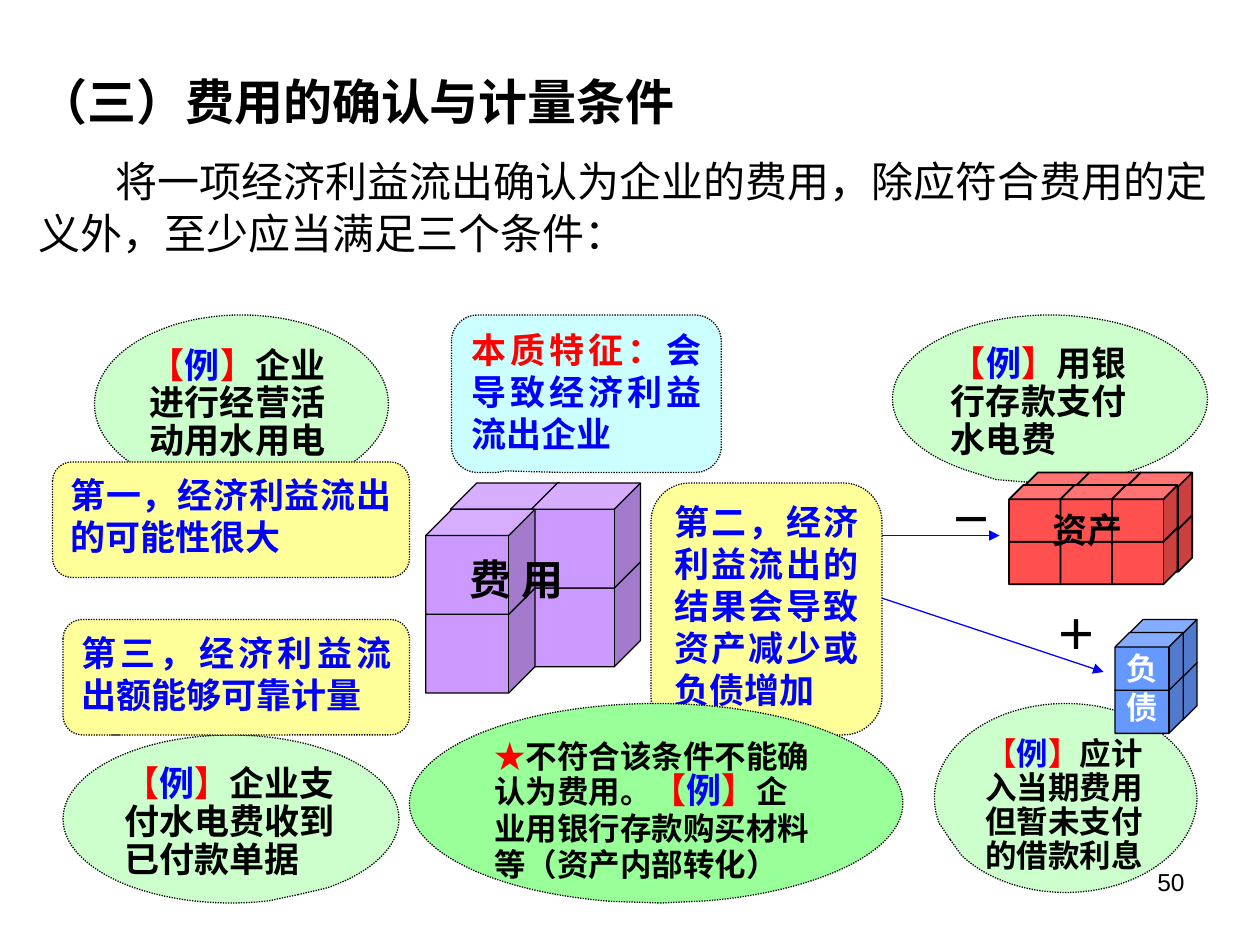
from dataclasses import dataclass
from itertools import product
from typing import Optional

from lxml.etree import SubElement
from pptx import Presentation
from pptx.dml.color import RGBColor
from pptx.enum.dml import MSO_LINE
from pptx.enum.shapes import MSO_CONNECTOR, MSO_SHAPE
from pptx.enum.text import PP_ALIGN
from pptx.oxml.ns import qn
from pptx.util import Inches, Pt

COLS, ROWS = 120, 90
WIDE, HIGH = Inches(10), Inches(7.5)
BLACK, WHITE, RED, BLUE = "000000", "FFFFFF", "FF0000", "0000FF"
MINT, LEMON, SKY, LIME = "CCFFCC", "FFFF99", "CCFFFF", "99FF99"
PLUM, ROSE, AZURE = "CC99FF", "FF5050", "6699FF"
NOTO, ARIAL, TIMES = "Noto Sans CJK SC", "Arial", "Times New Roman"
OVAL = MSO_SHAPE.OVAL_CALLOUT
ROUND = MSO_SHAPE.ROUNDED_RECTANGULAR_CALLOUT
RECT = MSO_SHAPE.RECTANGULAR_CALLOUT
LEFT, MID, RIGHT, JUST = PP_ALIGN.LEFT, PP_ALIGN.CENTER, PP_ALIGN.RIGHT, PP_ALIGN.JUSTIFY


@dataclass
class Run:
    """A stretch of text in one style."""
    text: str
    size: float = 20
    color: str = BLACK
    font: str = ARIAL
    bold: bool = True


@dataclass
class Para:
    """A paragraph with its line pitch, gap and indent in points."""
    runs: list[Run]
    align: PP_ALIGN = LEFT
    lead: Optional[float] = None
    gap: float = 0
    indent: float = 0


@dataclass
class Box:
    """A text box or callout placed in grid units."""
    x: float
    y: float
    w: float
    h: float
    paras: list[Para]
    kind: Optional[MSO_SHAPE] = None
    fill: Optional[str] = None
    tip: tuple[float, float] = (0, 0)


@dataclass
class Stack:
    """One layer of cubes: first cube, cube size, step and count."""
    x: float
    y: float
    w: float
    h: float
    dx: float
    dy: float
    cols: int
    rows: int
    fill: str
    line: float = 0.75


@dataclass
class Arrow:
    """A straight arrow between two grid points."""
    x: float
    y: float
    to_x: float
    to_y: float


def rgb(code: str) -> RGBColor:
    """Turn a hex string into a colour."""
    return RGBColor.from_string(code)


def place(x: float, y: float, w: float, h: float) -> tuple[int, ...]:
    """Turn grid units into slide lengths."""
    return (round(x * WIDE / COLS), round(y * HIGH / ROWS),
            round(w * WIDE / COLS), round(h * HIGH / ROWS))


def write(frame, paras: list[Para]) -> None:
    """Write paragraphs into a text frame, run by run."""
    frame.word_wrap = True
    for i, para in enumerate(paras):
        p = frame.add_paragraph() if i else frame.paragraphs[0]
        p.alignment = para.align
        if para.lead:
            p.line_spacing = Pt(para.lead)
        if para.gap:
            p.space_before = Pt(para.gap)
        if para.indent:
            p._p.get_or_add_pPr().set("indent", str(Pt(para.indent)))
        for run in para.runs:
            r = p.add_run()
            r.text = run.text
            r.font.size = Pt(run.size)
            r.font.bold = run.bold
            r.font.color.rgb = rgb(run.color)
            r.font.name = run.font
            SubElement(r._r.get_or_add_rPr(), qn("a:ea"), typeface=NOTO)


def draw_box(shapes, box: Box) -> None:
    """Draw a text box or a callout."""
    spot = place(box.x, box.y, box.w, box.h)
    if box.kind is None:
        write(shapes.add_textbox(*spot).text_frame, box.paras)
        return
    shape = shapes.add_shape(box.kind, *spot)
    shape.shadow.inherit = False
    shape.adjustments[0], shape.adjustments[1] = box.tip
    if box.fill:
        shape.fill.solid()
        shape.fill.fore_color.rgb = rgb(box.fill)
        shape.line.color.rgb = rgb(BLACK)
        shape.line.width = Pt(0.75)
        shape.line.dash_style = MSO_LINE.ROUND_DOT
    else:
        shape.fill.background()
        shape.line.fill.background()
    write(shape.text_frame, box.paras)
    shape.text_frame._txBody.bodyPr.set("anchor", "t")


def draw_stack(shapes, stack: Stack) -> None:
    """Draw a layer of cubes from the bottom row up."""
    for row, col in product(reversed(range(stack.rows)), range(stack.cols)):
        cube = shapes.add_shape(MSO_SHAPE.CUBE, *place(
            stack.x + col * stack.dx, stack.y + row * stack.dy, stack.w, stack.h))
        cube.shadow.inherit = False
        cube.fill.solid()
        cube.fill.fore_color.rgb = rgb(stack.fill)
        cube.line.color.rgb = rgb(BLACK)
        cube.line.width = Pt(stack.line)


def draw_arrow(shapes, arrow: Arrow) -> None:
    """Draw a blue arrow."""
    line = shapes.add_connector(MSO_CONNECTOR.STRAIGHT, *place(
        arrow.x, arrow.y, arrow.to_x, arrow.to_y))
    line.line.color.rgb = rgb(BLUE)
    line.line.width = Pt(0.75)
    SubElement(line.line._get_or_add_ln(), qn("a:tailEnd"), type="triangle")
    SubElement(line._element.spPr, qn("a:effectLst"))


def tag(size: float = 20) -> list[Run]:
    """Make the bracketed example mark."""
    return [Run("【", size, RED), Run("例", size, BLUE), Run("】", size, RED)]


def case(text: str, size: float = 20, font: str = NOTO) -> list[Para]:
    """Make the text of an example."""
    return [Para(tag(size) + [Run(text, size, font=font)], lead=size * 1.08)]


def rule(text: str) -> list[Para]:
    """Make the text of a condition."""
    return [Para([Run(text, color=BLUE)], JUST, 24)]


def label(text: str, size: float, lead: float, font: str = TIMES,
          color: str = BLACK) -> list[Para]:
    """Make a short centred label."""
    return [Para([Run(text, size, color, font)], MID, lead)]


HEAD = [Para([Run("（三）费用的确认与计量条件", 28, font=NOTO)], lead=35.5),
        Para([Run("将一项经济利益流出确认为企业的费用，除应符合费用的定义外，"
                  "至少应当满足三个条件：", 24, font=NOTO, bold=False)],
             lead=30, gap=13, indent=44)]
TRAIT = [Para([Run("本质特征：", color=RED, font=NOTO),
               Run("会导致经济利益流出企业", color=BLUE, font=NOTO)], JUST, 24)]
STAR = [Para([Run("★", 18, RED, NOTO), Run("不符合该条件不能确认为费用。", 18, font=NOTO),
              *tag(), Run("企业用银行存款购买材料等（资产内部转化）", 18, font=NOTO)],
             lead=20.5)]
PAGE = [Para([Run("50", 14, bold=False)], RIGHT)]

ITEMS = [
    Box(2.5, 5.9, 115, 22, HEAD),
    Box(89, 67, 25, 18, case("应计入当期费用但暂未支付的借款利息", 18, ARIAL),
        OVAL, MINT, (-0.44, 0.22)),
    Box(85, 30, 30, 16, case("用银行存款支付水电费"), OVAL, MINT, (-0.17, 0.48)),
    Stack(42.9, 46, 10.4, 10, 7.7, 7.5, 2, 2, PLUM),
    Stack(40.55, 48.5, 10.4, 10, 0, 7.5, 1, 2, PLUM),
    Box(40, 51.75, 18.4, 5.2, label("费 用", 24, 31)),
    Stack(97.5, 45, 6.25, 5.4, 4.9, 4.05, 3, 2, ROSE, 1),
    Stack(96.1, 46.2, 6.25, 5.4, 4.9, 4.05, 3, 2, ROSE, 1),
    Box(97.8, 47.6, 11.5, 6.7, label("资产", 20, 25.5)),
    Arrow(81.1, 51, 95.2, 51),
    Box(88, 46, 9, 5, label("－", 24, 31, ARIAL), RECT, None, (-0.08, 0.57)),
    Box(98, 57, 9, 5, label("＋", 24, 31, ARIAL), RECT, None, (0.04, 0.37)),
    Stack(107.5, 59, 6.5, 5.5, 0, 4.1, 1, 2, AZURE),
    Stack(106.2, 60.25, 6.5, 5.5, 0, 4.1, 1, 2, AZURE),
    Box(106.1, 61.2, 4.7, 5.9, label("负债", 18, 22, color=WHITE)),
    Arrow(81.1, 56, 105.1, 64),
    Box(62, 46, 22, 24, rule("第二，经济利益流出的结果会导致资产减少或负债增加"),
        ROUND, LEMON, (-0.31, 0.4)),
    Box(9, 30, 28, 17, case("企业进行经营活动用水用电"), OVAL, MINT, (-0.08, 0.38)),
    Box(5, 44, 34, 11, rule("第一，经济利益流出的可能性很大"), ROUND, LEMON, (0.1, 0.5)),
    Box(6, 70, 32, 16, case("企业支付水电费收到已付款单据"), OVAL, MINT, (0.2, 0.45)),
    Box(6, 59, 33, 11, rule("第三，经济利益流出额能够可靠计量"),
        ROUND, LEMON, (-0.36, 0.5)),
    Box(43, 30, 25.7, 15, TRAIT, ROUND, SKY, (-0.3, 0.49)),
    Box(39, 67, 47, 19, STAR, OVAL, LIME, (0.01, 0.5)),
    Box(86, 82, 28, 6.2, PAGE),
]


def main() -> None:
    """Build the slide and save it."""
    deck = Presentation()
    deck.slide_width, deck.slide_height = WIDE, HIGH
    shapes = deck.slides.add_slide(deck.slide_layouts[6]).shapes
    pens = {Box: draw_box, Stack: draw_stack, Arrow: draw_arrow}
    for item in ITEMS:
        pens[type(item)](shapes, item)
    deck.save("out.pptx")


if __name__ == "__main__":
    main()
